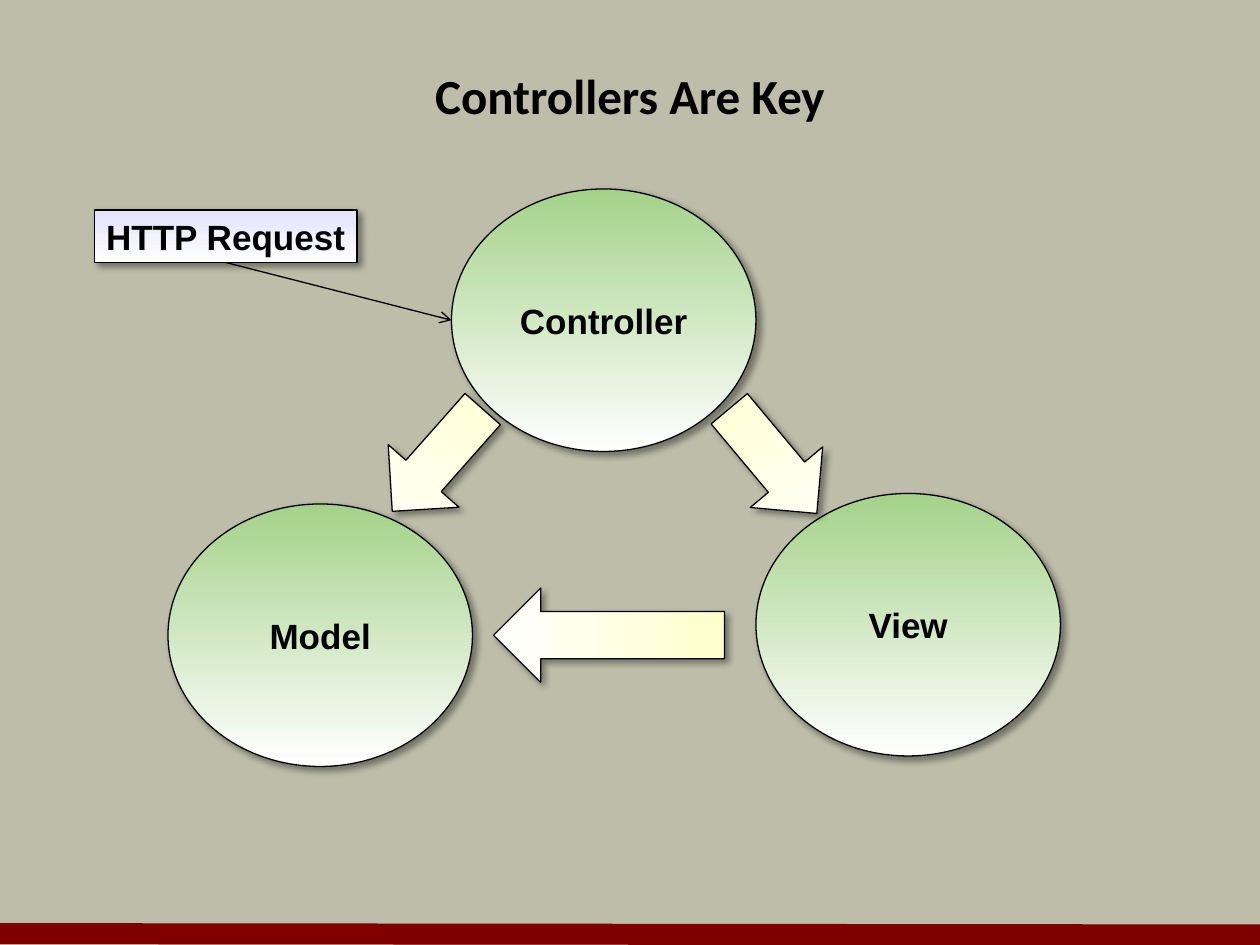
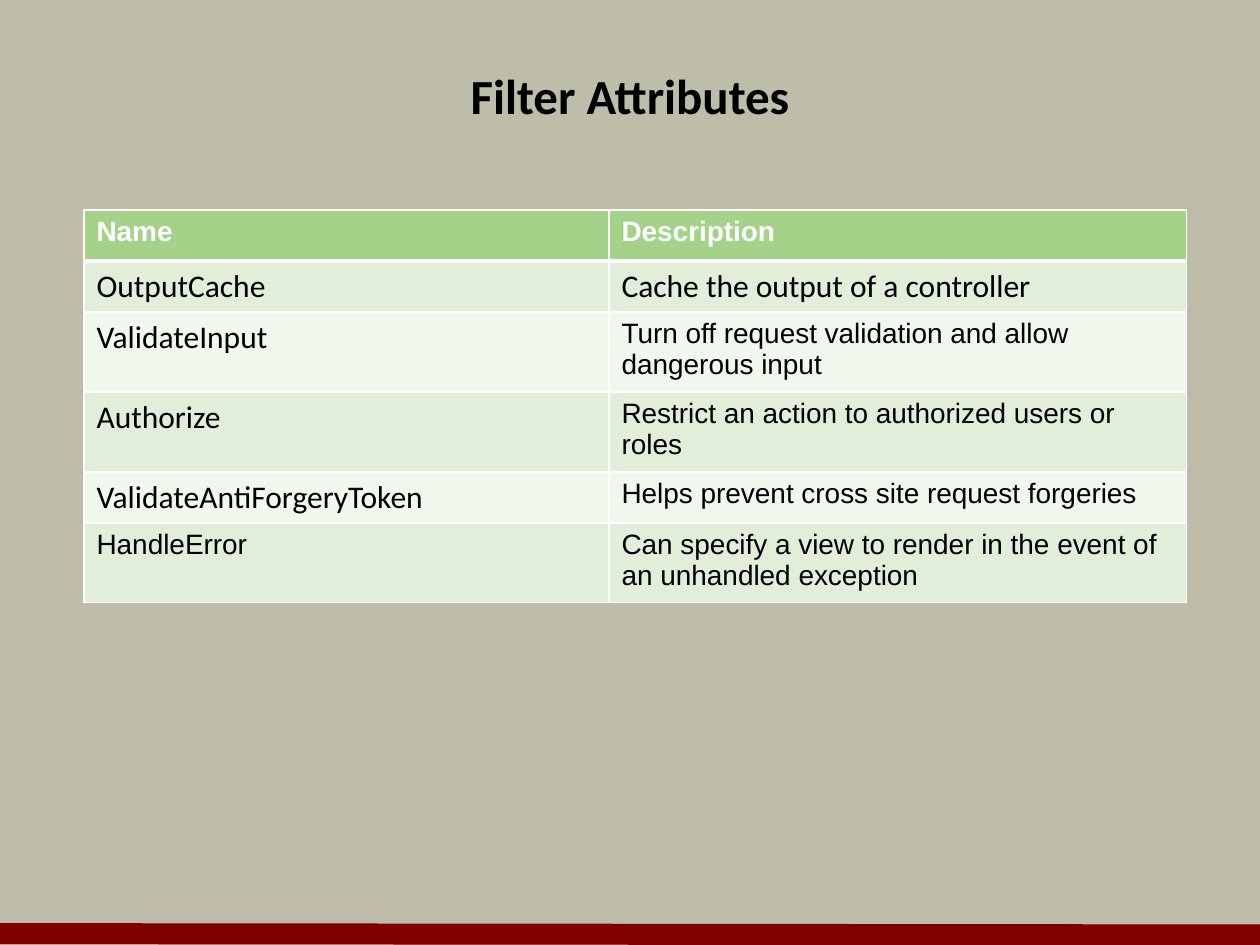
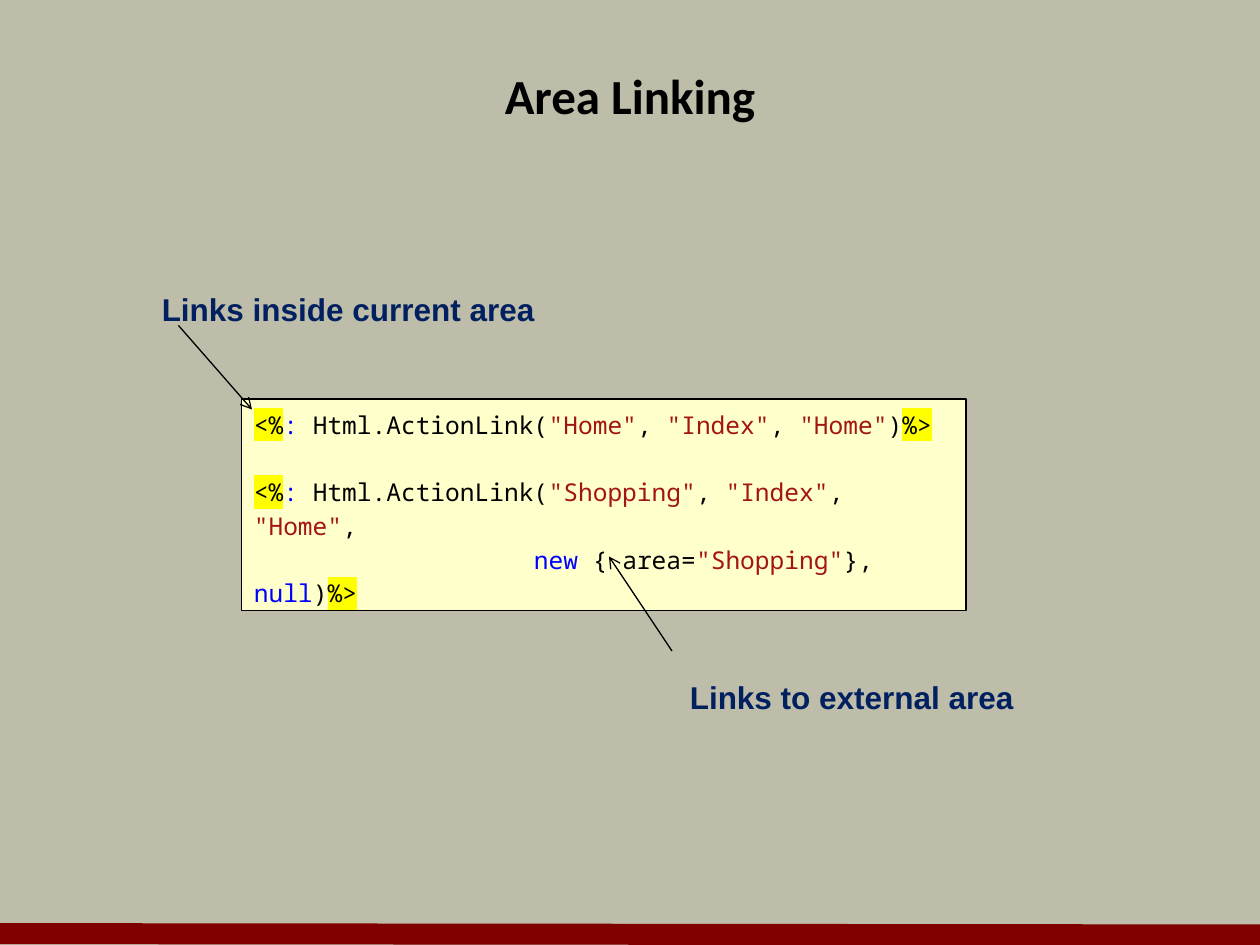
"""Build three slides on controllers, filter attributes and area linking."""
from typing import Any, NamedTuple

from lxml import etree
from pptx import Presentation
from pptx.dml.color import RGBColor
from pptx.enum.shapes import MSO_CONNECTOR, MSO_SHAPE
from pptx.enum.text import MSO_ANCHOR, PP_ALIGN
from pptx.oxml.ns import qn
from pptx.util import Pt

STRAIGHT = MSO_CONNECTOR.STRAIGHT
OVAL, RECTANGLE, DOWN_ARROW = MSO_SHAPE.OVAL, MSO_SHAPE.RECTANGLE, MSO_SHAPE.DOWN_ARROW
MIDDLE, TOP = MSO_ANCHOR.MIDDLE, MSO_ANCHOR.TOP
CENTER, LEFT = PP_ALIGN.CENTER, PP_ALIGN.LEFT

BACKGROUND, BAND = "BDBDA9", "800000"
BLACK, WHITE, NAVY = "000000", "FFFFFF", "002060"
GREEN, CREAM, LILAC = "A4D289", "FFFFCC", "E2E2FF"
ROW_FILLS = ("E0EEDA", "F0F7ED")
KEYWORD, STRING, MARK = "0000FF", "A31515", "FFFF00"
HEADING_FONT, BODY_FONT, CODE_FONT = "Calibri", "Arial", "Noto Sans Mono"


class Box(NamedTuple):
    """A place on the slide, in points."""
    left: float
    top: float
    width: float
    height: float


class Node(NamedTuple):
    """A gradient shape of the diagram."""
    kind: Any
    box: Box
    color: str
    label: str = ""
    rotation: float = 0


class CellStyle(NamedTuple):
    """The font of a table cell."""
    font: str
    size: float


class Filter(NamedTuple):
    """A filter attribute and the fonts of its two cells."""
    name: str
    description: str
    name_style: CellStyle
    description_style: CellStyle


class Token(NamedTuple):
    """A coloured piece of code."""
    text: str
    color: str = BLACK
    highlight: str = ""


class Callout(NamedTuple):
    """A note with an arrow into the code."""
    text: str
    box: Box
    start: tuple[float, float]
    end: tuple[float, float]


LARGE, SMALL = CellStyle(HEADING_FONT, 18), CellStyle(BODY_FONT, 16)
CIRCLE_SIZE = (174, 150)
NODES = [
    Node(OVAL, Box(258, 108, *CIRCLE_SIZE), GREEN, "Controller"),
    Node(OVAL, Box(96, 288, *CIRCLE_SIZE), GREEN, "Model"),
    Node(OVAL, Box(432, 282, *CIRCLE_SIZE), GREEN, "View"),
    Node(DOWN_ARROW, Box(414.75, 224.5, 54, 78), CREAM, rotation=320.1),
    Node(DOWN_ARROW, Box(223, 224, 54, 78), CREAM, rotation=41.5),
    Node(DOWN_ARROW, Box(321, 297, 54, 132), CREAM, rotation=90),
]
REQUEST = Node(RECTANGLE, Box(54, 120, 150, 30), LILAC, "HTTP Request")

FILTERS = [
    Filter("OutputCache", "Cache the output of a controller", LARGE, LARGE),
    Filter("ValidateInput", "Turn off request validation and allow dangerous input", LARGE, SMALL),
    Filter("Authorize", "Restrict an action to authorized users or roles", LARGE, SMALL),
    Filter("ValidateAntiForgeryToken", "Helps prevent cross site request forgeries", LARGE, SMALL),
    Filter("HandleError", "Can specify a view to render in the event of an unhandled exception",
           SMALL, SMALL),
]
COLUMN_WIDTHS = (300, 330)
ROW_HEIGHT = 29.2

OPENING = [Token("<%", highlight=MARK), Token(": ", KEYWORD), Token("Html.ActionLink(")]
CLOSING = [Token(")"), Token("%>", highlight=MARK)]
COMMA = Token(", ")
INDEX, HOME, SHOPPING = (Token(f'"{word}"', STRING) for word in ("Index", "Home", "Shopping"))
CODE_LINES = [
    [*OPENING, HOME, COMMA, INDEX, COMMA, HOME, *CLOSING],
    [*OPENING, SHOPPING, COMMA, INDEX, COMMA, HOME, Token(",")],
    [Token("                   "), Token("new", KEYWORD), Token(" { area="), SHOPPING,
     Token("}, "), Token("null", KEYWORD), *CLOSING],
]
LINK_GAP = 19.25
CALLOUTS = [
    Callout("Links inside current area", Box(84, 162, 230, 29), (102, 186), (144, 234)),
    Callout("Links to external area", Box(386, 384, 201.5, 29), (384, 372), (348, 318)),
]


def rgb(color: str) -> RGBColor:
    """Turn a hex string into a colour."""
    return RGBColor.from_string(color)


def add_color(parent: Any, color: str) -> Any:
    """Append a colour element to an XML parent."""
    return etree.SubElement(parent, qn("a:srgbClr"), val=color)


def place(box: Box) -> list[int]:
    """Give a box in slide units."""
    return [Pt(length) for length in box]


def write(paragraph: Any, text: str, *, font: str = BODY_FONT, size: float = 18,
          color: str = BLACK, bold: bool = False, highlight: str = "",
          align: Any = CENTER) -> None:
    """Add a formatted run to a paragraph."""
    paragraph.alignment = align
    run = paragraph.add_run()
    run.text = text
    run.font.size, run.font.bold = Pt(size), bold
    run.font.color.rgb = rgb(color)
    if highlight:
        add_color(etree.SubElement(run.font._element, qn("a:highlight")), highlight)
    run.font.name = font


def add_line(slide: Any, start: tuple[float, float], end: tuple[float, float], *,
             color: str = BLACK, width: float = 0.75, arrow: bool = True) -> None:
    """Draw a straight line, with an arrowhead at its end if asked."""
    line = slide.shapes.add_connector(STRAIGHT, *place((*start, *end)))
    line.line.color.rgb = rgb(color)
    line.line.width = Pt(width)
    if arrow:
        etree.SubElement(line.line._get_or_add_ln(), qn("a:tailEnd"), type="arrow")
    etree.SubElement(line._element.spPr, qn("a:effectLst"))


def add_shape(slide: Any, kind: Any, box: Box) -> Any:
    """Add a thinly outlined shape without a theme shadow."""
    shape = slide.shapes.add_shape(kind, *place(box))
    shape.line.color.rgb = rgb(BLACK)
    shape.line.width = Pt(0.75)
    shape.shadow.inherit = False
    return shape


def add_label(slide: Any, text: str, box: Box, *, wrap: bool = False,
              anchor: Any = TOP, **text_format: Any) -> None:
    """Add a text box of one paragraph."""
    frame = slide.shapes.add_textbox(*place(box)).text_frame
    frame.word_wrap, frame.vertical_anchor = wrap, anchor
    write(frame.paragraphs[0], text, bold=True, **text_format)


def add_node(slide: Any, node: Node) -> None:
    """Draw a shape with a gradient, a soft shadow and its label."""
    shape = add_shape(slide, node.kind, node.box)
    shape.rotation = node.rotation
    shape.fill.gradient()
    shape.fill.gradient_angle = 270
    for stop, color in zip(shape.fill.gradient_stops, (node.color, WHITE)):
        stop.color.rgb = rgb(color)
    effects = shape._element.spPr.find(qn("a:effectLst"))
    shadow = etree.SubElement(effects, qn("a:outerShdw"), blurRad=str(Pt(4)), dist=str(Pt(3)),
                              dir="2700000", algn="tl", rotWithShape="0")
    etree.SubElement(add_color(shadow, BLACK), qn("a:alpha"), val="40000")
    if node.label:
        frame = shape.text_frame
        frame.word_wrap, frame.vertical_anchor = False, MIDDLE
        write(frame.paragraphs[0], node.label, size=20, bold=True)


def fill_cell(cell: Any, text: str, style: CellStyle, fill: str, *, color: str = BLACK,
              bold: bool = False, top: float = 1, bottom: float = 1) -> None:
    """Write a table cell with its fill and white borders."""
    properties = cell._tc.get_or_add_tcPr()
    for side, width in (("L", 1), ("R", 1), ("T", top), ("B", bottom)):
        border = etree.SubElement(properties, qn(f"a:ln{side}"), w=str(Pt(width)))
        add_color(etree.SubElement(border, qn("a:solidFill")), WHITE)
    cell.fill.solid()
    cell.fill.fore_color.rgb = rgb(fill)
    write(cell.text_frame.paragraphs[0], text, font=style.font, size=style.size,
          color=color, bold=bold, align=LEFT)


def add_titled_slide(prs: Any, title: str) -> Any:
    """Add a slide with the bottom band and a title."""
    slide = prs.slides.add_slide(prs.slide_layouts[6])
    add_line(slide, (0, 533.5), (720, 534.25), color=BAND, width=12, arrow=False)
    add_label(slide, title, Box(36, 24, 648, 60), wrap=True, anchor=MIDDLE,
              font=HEADING_FONT, size=28)
    return slide


def build_controllers(prs: Any) -> None:
    """Show how a request reaches the controller, model and view."""
    slide = add_titled_slide(prs, "Controllers Are Key")
    for node in NODES:
        add_node(slide, node)
    add_line(slide, (129, 150), (258, 183))
    add_node(slide, REQUEST)


def build_filters(prs: Any) -> None:
    """List the filter attributes in a table."""
    slide = add_titled_slide(prs, "Filter Attributes")
    row_count = len(FILTERS) + 1
    box = Box(48, 120, sum(COLUMN_WIDTHS), ROW_HEIGHT * row_count)
    table = slide.shapes.add_table(row_count, len(COLUMN_WIDTHS), *place(box)).table
    for column, width in zip(table.columns, COLUMN_WIDTHS):
        column.width = Pt(width)
    for column, heading in enumerate(("Name", "Description")):
        fill_cell(table.cell(0, column), heading, SMALL, GREEN,
                  color=WHITE, bold=True, bottom=3)
    for row, entry in enumerate(FILTERS, start=1):
        fill = ROW_FILLS[(row - 1) % 2]
        top = 3 if row == 1 else 1
        fill_cell(table.cell(row, 0), entry.name, entry.name_style, fill, top=top)
        fill_cell(table.cell(row, 1), entry.description, entry.description_style, fill, top=top)


def build_area_linking(prs: Any) -> None:
    """Show two links in code with a callout for each."""
    slide = add_titled_slide(prs, "Area Linking")
    code = add_shape(slide, RECTANGLE, Box(138, 228, 414, 121))
    code.fill.solid()
    code.fill.fore_color.rgb = rgb(CREAM)
    frame = code.text_frame
    frame.word_wrap, frame.vertical_anchor = True, TOP
    for number, tokens in enumerate(CODE_LINES):
        paragraph = frame.add_paragraph() if number else frame.paragraphs[0]
        paragraph.line_spacing = 1.15
        if number == 1:
            paragraph.space_before = Pt(LINK_GAP)
        for token in tokens:
            write(paragraph, token.text, font=CODE_FONT, size=14, color=token.color,
                  highlight=token.highlight, align=LEFT)
    for callout in CALLOUTS:
        add_line(slide, callout.start, callout.end)
        add_label(slide, callout.text, callout.box, color=NAVY)


def main() -> None:
    """Build and save the presentation."""
    prs = Presentation()
    prs.slide_width, prs.slide_height = Pt(720), Pt(540)
    backdrop = prs.slide_master.background.fill
    backdrop.solid()
    backdrop.fore_color.rgb = rgb(BACKGROUND)
    build_controllers(prs)
    build_filters(prs)
    build_area_linking(prs)
    prs.save("out.pptx")


if __name__ == "__main__":
    main()
